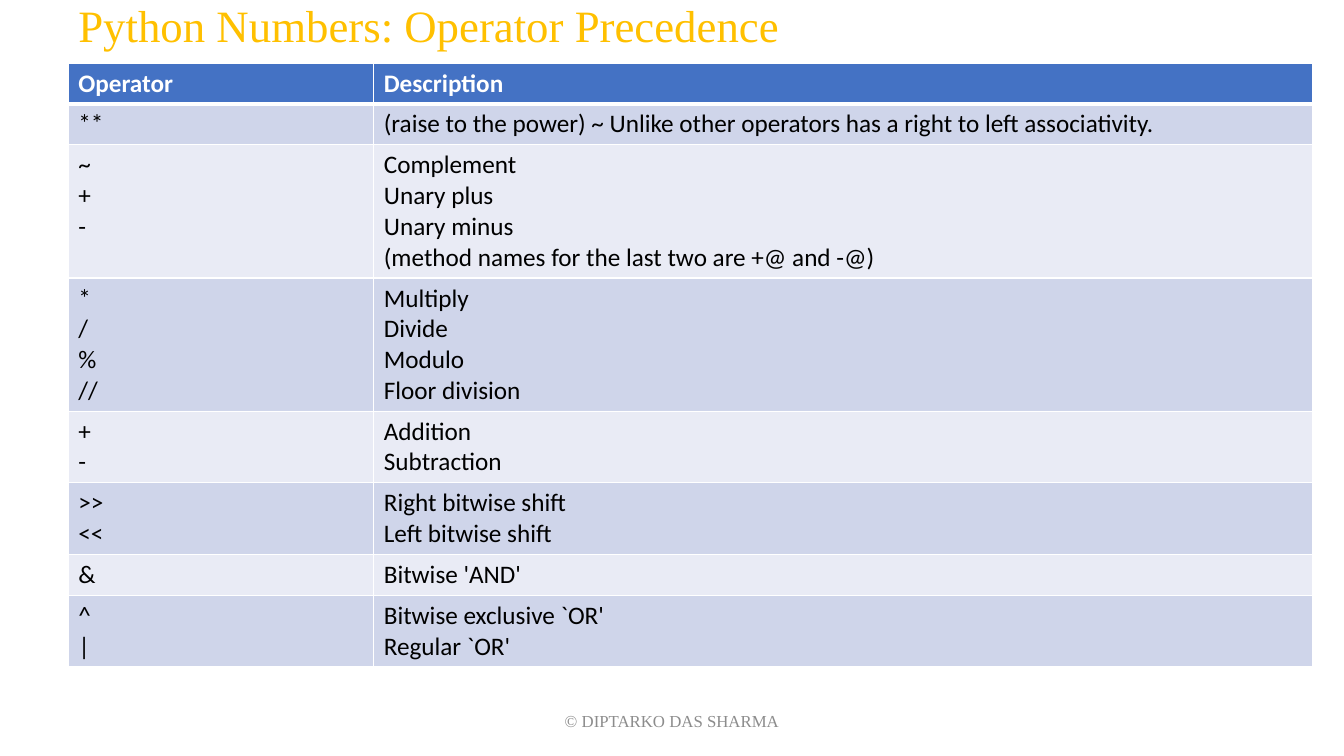
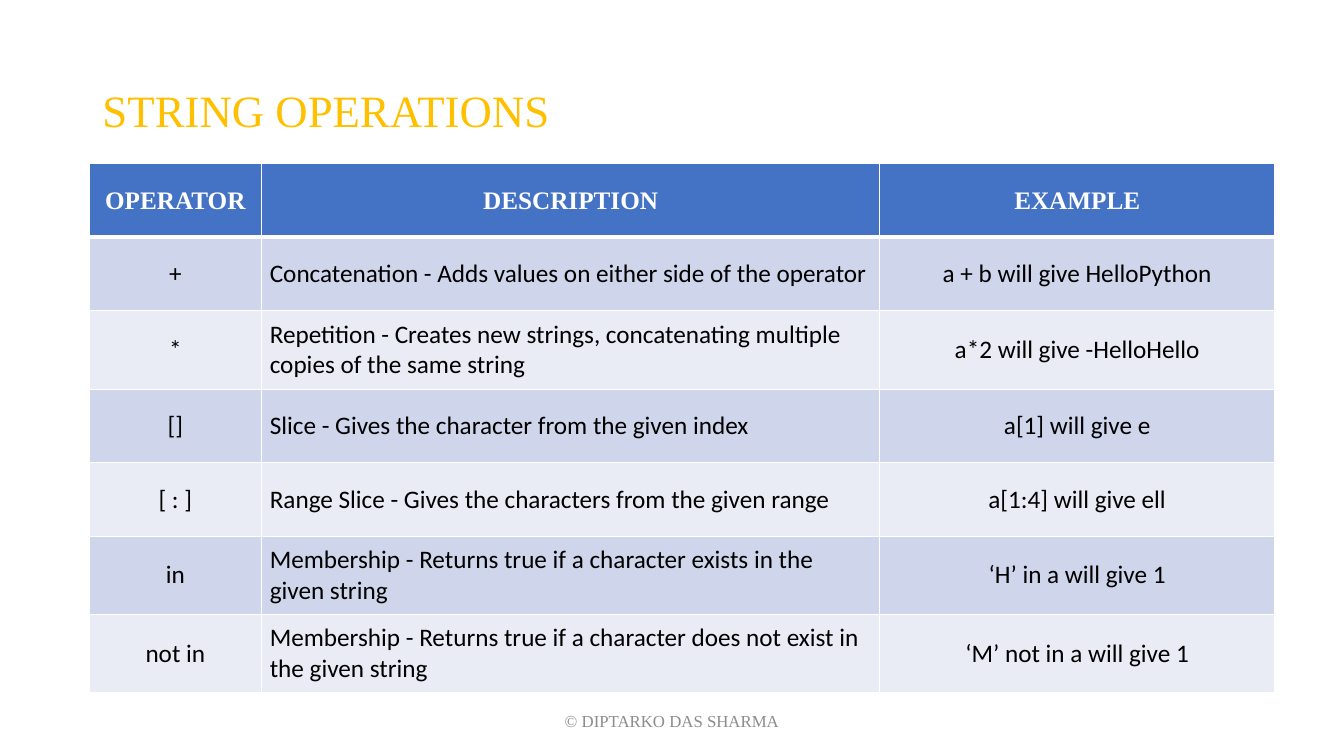
from dataclasses import dataclass

from lxml import etree
from pptx import Presentation
from pptx.dml.color import RGBColor
from pptx.enum.text import MSO_ANCHOR, MSO_AUTO_SIZE, PP_ALIGN
from pptx.oxml.ns import qn
from pptx.util import Emu, Pt

LEFT, CENTER = PP_ALIGN.LEFT, PP_ALIGN.CENTER
TOP, MIDDLE = MSO_ANCHOR.TOP, MSO_ANCHOR.MIDDLE
NO_AUTOFIT = MSO_AUTO_SIZE.NONE

EMU_PER_PX = 9525
SLIDE_W, SLIDE_H = 1280, 720
TITLE_ONLY = 5


def px(n: int) -> Emu:
    return Emu(n * EMU_PER_PX)


# Theme
@dataclass(frozen=True)
class TextStyle:
    font: str
    size: int
    color: str
    bold: bool = False


@dataclass(frozen=True)
class Theme:
    serif: str = "Times New Roman"
    sans: str = "Calibri"
    title_size: int = 32
    table_size: int = 18
    footer_size: int = 12
    gold: str = "FFC000"
    gray: str = "8C8C8C"
    black: str = "000000"
    white: str = "FFFFFF"
    header: str = "4472C4"
    bands: tuple[str, str] = ("CFD5EA", "E9EBF5")
    rule: int = 1
    header_rule: int = 3


THEME = Theme()
TITLE = TextStyle(THEME.serif, THEME.title_size, THEME.gold)
BODY = TextStyle(THEME.sans, THEME.table_size, THEME.black)
FOOTER = TextStyle(THEME.serif, THEME.footer_size, THEME.gray)
FOOTER_TEXT = "© DIPTARKO DAS SHARMA"


# Slide content
@dataclass(frozen=True)
class Box:
    x: int
    y: int
    w: int
    h: int


@dataclass(frozen=True)
class TableData:
    x: int
    y: int
    widths: tuple[int, ...]
    row_height: int
    line_height: int  # added for each further line in a cell
    header_font: str
    header_align: PP_ALIGN
    aligns: tuple[PP_ALIGN, ...]
    anchor: MSO_ANCHOR
    inset: int | None
    rows: tuple[tuple[str, ...], ...]


@dataclass(frozen=True)
class SlideData:
    title: str
    title_box: Box
    table: TableData


FOOTER_BOX = Box(424, 667, 432, 38)

SLIDES = (
    SlideData(
        "Python Numbers: Operator Precedence",
        Box(65, 5, 1020, 43),
        TableData(
            65, 60, (291, 894), 39, 29, THEME.sans, LEFT, (LEFT, LEFT), TOP, None,
            (
                ("Operator", "Description"),
                ("**", "(raise to the power) ~ Unlike other operators has a right to left associativity."),
                ("~\n+\n-", "Complement\nUnary plus\nUnary minus\n"
                            "(method names for the last two are +@ and -@)"),
                ("*\n/\n%\n//", "Multiply\nDivide\nModulo\nFloor division"),
                ("+\n-", "Addition\nSubtraction"),
                (">>\n<<", "Right bitwise shift\nLeft bitwise shift"),
                ("&", "Bitwise 'AND'"),
                ("^\n|", "Bitwise exclusive `OR'\nRegular `OR'"),
            ),
        ),
    ),
    SlideData(
        "STRING OPERATIONS",
        Box(88, 38, 1104, 139),
        TableData(
            85, 156, (164, 589, 376), 70, 0, THEME.serif, CENTER, (CENTER, LEFT, CENTER), MIDDLE, 8,
            (
                ("OPERATOR", "DESCRIPTION", "EXAMPLE"),
                ("+", "Concatenation - Adds values on either side of the operator",
                 "a + b will give HelloPython"),
                ("*", "Repetition - Creates new strings, concatenating multiple copies of the same string",
                 "a*2 will give -HelloHello"),
                ("[]", "Slice - Gives the character from the given index", "a[1] will give e"),
                ("[ : ]", "Range Slice - Gives the characters from the given range", "a[1:4] will give ell"),
                ("in", "Membership - Returns true if a character exists in the given string",
                 "‘H’ in a will give 1"),
                ("not in", "Membership - Returns true if a character does not exist in the given string",
                 "‘M’ not in a will give 1"),
            ),
        ),
    ),
)


# Drawing functions
def set_text(tf, text: str, style: TextStyle, align: PP_ALIGN) -> None:
    tf.text = text
    for p in tf.paragraphs:
        p.alignment = align
        for r in p.runs:
            r.font.name = style.font
            r.font.size = Pt(style.size)
            r.font.bold = style.bold
            r.font.color.rgb = RGBColor.from_string(style.color)


def set_borders(cell, top: int, bottom: int) -> None:
    tc_pr = cell._tc.get_or_add_tcPr()
    widths = {"a:lnL": THEME.rule, "a:lnR": THEME.rule, "a:lnT": top, "a:lnB": bottom}
    for tag, width in widths.items():
        ln = etree.SubElement(tc_pr, qn(tag), w=str(Pt(width)))
        fill = etree.SubElement(ln, qn("a:solidFill"))
        etree.SubElement(fill, qn("a:srgbClr"), val=THEME.white)


def add_title(s, text: str, box: Box) -> None:
    sp = s.shapes.title
    sp.left, sp.top, sp.width, sp.height = px(box.x), px(box.y), px(box.w), px(box.h)
    tf = sp.text_frame
    set_text(tf, text, TITLE, LEFT)
    tf.auto_size = NO_AUTOFIT
    tf.vertical_anchor = MIDDLE
    tf.paragraphs[0].line_spacing = 0.9


def add_footer(s) -> None:
    box = FOOTER_BOX
    tf = s.shapes.add_textbox(px(box.x), px(box.y), px(box.w), px(box.h)).text_frame
    tf.word_wrap = True
    tf.vertical_anchor = MIDDLE
    set_text(tf, FOOTER_TEXT, FOOTER, CENTER)


def fill_cell(cell, text: str, row: int, col: int, data: TableData) -> None:
    is_header = row == 0
    set_borders(
        cell,
        top=THEME.header_rule if row == 1 else THEME.rule,
        bottom=THEME.header_rule if is_header else THEME.rule,
    )
    cell.fill.solid()
    color = THEME.header if is_header else THEME.bands[(row - 1) % 2]
    cell.fill.fore_color.rgb = RGBColor.from_string(color)
    cell.vertical_anchor = data.anchor
    if data.inset is not None and not is_header:
        cell.margin_left = cell.margin_right = px(data.inset)
        cell.margin_top = cell.margin_bottom = px(data.inset)
    header = TextStyle(data.header_font, THEME.table_size, THEME.white, bold=True)
    style, align = (header, data.header_align) if is_header else (BODY, data.aligns[col])
    set_text(cell.text_frame, text, style, align)


def add_table(s, data: TableData) -> None:
    heights = [
        data.row_height + data.line_height * max(text.count("\n") for text in row)
        for row in data.rows
    ]
    table = s.shapes.add_table(
        len(data.rows), len(data.widths),
        px(data.x), px(data.y), px(sum(data.widths)), px(sum(heights)),
    ).table
    for column, width in zip(table.columns, data.widths):
        column.width = px(width)
    for i, (row, height) in enumerate(zip(data.rows, heights)):
        table.rows[i].height = px(height)
        for j, text in enumerate(row):
            fill_cell(table.cell(i, j), text, i, j, data)


def main() -> None:
    prs = Presentation()
    prs.slide_width, prs.slide_height = px(SLIDE_W), px(SLIDE_H)
    for data in SLIDES:
        s = prs.slides.add_slide(prs.slide_layouts[TITLE_ONLY])
        add_title(s, data.title, data.title_box)
        add_table(s, data.table)
        add_footer(s)
    prs.save("out.pptx")


if __name__ == "__main__":
    main()
